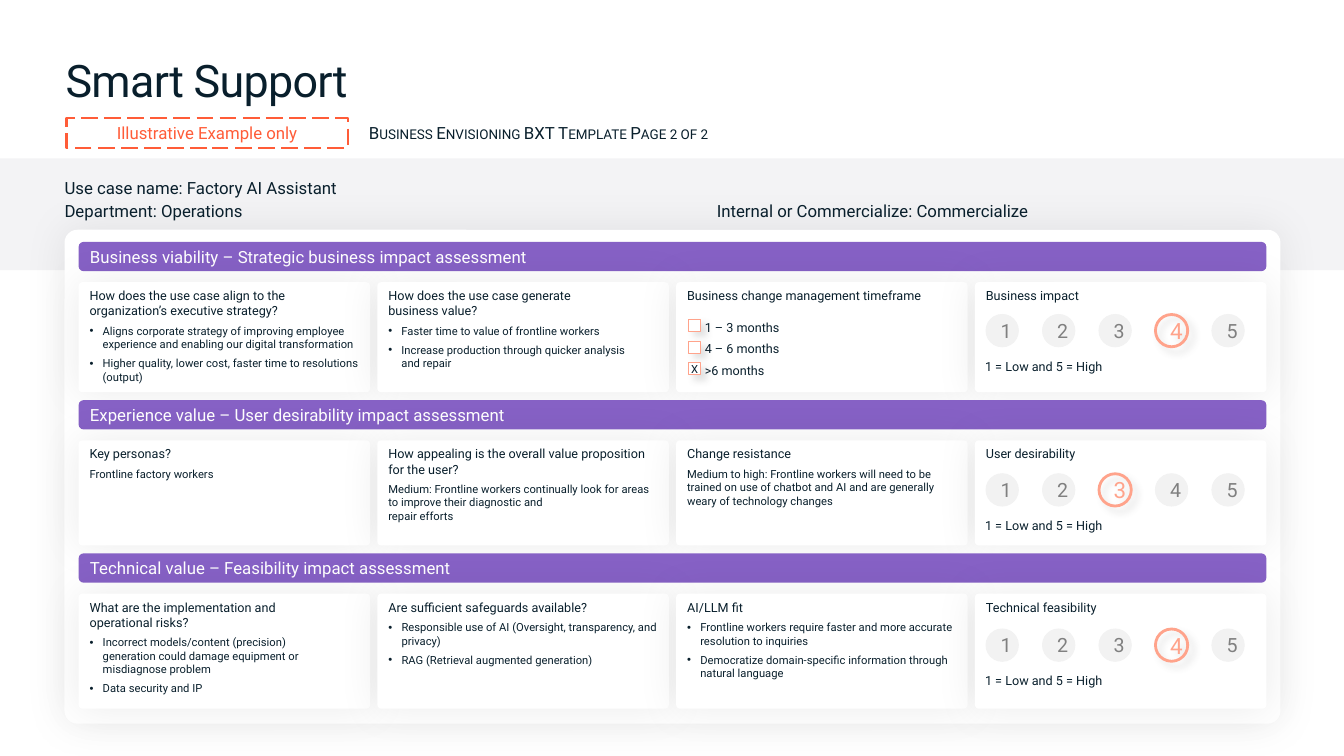
from copy import deepcopy
from dataclasses import dataclass

from lxml.etree import SubElement
from pptx import Presentation
from pptx.dml.color import RGBColor
from pptx.enum.dml import MSO_LINE
from pptx.enum.shapes import MSO_SHAPE
from pptx.enum.text import MSO_ANCHOR, MSO_AUTO_SIZE, PP_ALIGN
from pptx.oxml.ns import qn
from pptx.shapes.autoshape import Shape
from pptx.slide import Slide
from pptx.text.text import _Paragraph as Para
from pptx.util import Inches, Pt

FONT = "Roboto"
HUES = {
    "ink": "091F2C", "white": "FFFFFF", "band": "F3F3F5", "bar": "8661C5",
    "alert": "FF5C38", "pick": "FFA38B", "disc": "F2F2F2", "digit": "808080",
    "haze": "000000", "drop": "737373",
}
LEFT, WIDE, CARD = 0.78, 11.78, 2.89
STEP = (WIDE - CARD) / 3


@dataclass
class Box:
    x: float
    y: float
    w: float
    h: float


@dataclass
class Shade:
    hue: str
    alpha: int
    blur: float
    dist: float
    angle: int


@dataclass
class Card:
    head: str
    items: tuple[str, ...] = ()
    listed: bool = False


@dataclass
class Row:
    title: str
    top: float
    high: float
    dial: float
    score: int
    cards: list[Card]


SOFT = Shade("haze", 7, 30, 0, 0)
HARD = Shade("drop", 20, 5, 5, 45)

ROWS = [
    Row("Business viability – Strategic business impact assessment", 2.4, 1.09, 3.12, 4, [
        Card("How does the use case align to the organization’s executive strategy?", (
            "Aligns corporate strategy of improving employee experience and enabling "
            "our digital transformation",
            "Higher quality, lower cost, faster time to resolutions (output)"), True),
        Card("How does the use case generate\nbusiness value?", (
            "Faster time to value of frontline workers",
            "Increase production through quicker analysis\nand repair"), True),
        Card("Business change management timeframe"),
        Card("Business impact")]),
    Row("Experience value – User desirability impact assessment", 3.97, 1.04, 4.7, 3, [
        Card("Key personas?", ("Frontline factory workers",)),
        Card("How appealing is the overall value proposition for the user?", (
            "Medium: Frontline workers continually look for areas to improve their "
            "diagnostic and\nrepair efforts",)),
        Card("Change resistance", (
            "Medium to high: Frontline workers will need to be trained on use of chatbot "
            "and AI and are generally weary of technology changes",)),
        Card("User desirability")]),
    Row("Technical value – Feasibility impact assessment", 5.49, 1.14, 6.24, 4, [
        Card("What are the implementation and\noperational risks?", (
            "Incorrect models/content (precision)\ngeneration could damage equipment or "
            "misdiagnose problem",
            "Data security and IP"), True),
        Card("Are sufficient safeguards available?", (
            "Responsible use of AI (Oversight, transparency, and privacy)",
            "RAG (Retrieval augmented generation)"), True),
        Card("AI/LLM fit", (
            "Frontline workers require faster and more accurate resolution to inquiries",
            "Democratize domain-specific information through natural language"), True),
        Card("Technical feasibility")]),
]


def paint(name: str) -> RGBColor:
    return RGBColor.from_string(HUES[name])


def style(para: Para, size: float, hue: str = "ink", align=PP_ALIGN.LEFT) -> None:
    para.alignment = align
    for run in para.runs:
        run.font.size, run.font.name = Pt(size), FONT
        run.font.color.rgb = paint(hue)
    for turn in para._p.findall(qn("a:br")):
        turn.insert(0, deepcopy(para.runs[0]._r.rPr))


def cast(shape: Shape, shade: Shade) -> None:
    part = SubElement(shape._element.spPr.find(qn("a:effectLst")), qn("a:outerShdw"),
                      blurRad=str(Pt(shade.blur)), dist=str(Pt(shade.dist)),
                      dir=str(shade.angle * 60000), algn="ctr", rotWithShape="0")
    tint = SubElement(part, qn("a:srgbClr"), val=HUES[shade.hue])
    SubElement(tint, qn("a:alpha"), val=str(shade.alpha * 1000))


def form(slide: Slide, kind: MSO_SHAPE, box: Box, fill: str = "", line: str = "",
         thick: float = 0.75, round_by: float = 0, shade: Shade | None = None) -> Shape:
    shape = slide.shapes.add_shape(
        kind, Inches(box.x), Inches(box.y), Inches(box.w), Inches(box.h))
    shape.shadow.inherit = False
    if fill:
        shape.fill.solid()
        shape.fill.fore_color.rgb = paint(fill)
    else:
        shape.fill.background()
    if line:
        shape.line.color.rgb, shape.line.width = paint(line), Pt(thick)
    else:
        shape.line.fill.background()
    if round_by:
        shape.adjustments[0] = round_by
    if shade:
        cast(shape, shade)
    return shape


def trim(shape: Shape) -> None:
    frame = shape.text_frame
    frame.margin_left = frame.margin_right = frame.margin_top = frame.margin_bottom = 0


def label(slide: Slide, box: Box, text: str, size: float, anchor=MSO_ANCHOR.TOP) -> Para:
    shape = slide.shapes.add_textbox(
        Inches(box.x), Inches(box.y), Inches(box.w), Inches(box.h))
    trim(shape)
    frame = shape.text_frame
    frame.word_wrap, frame.vertical_anchor, frame.text = True, anchor, text
    style(frame.paragraphs[0], size)
    return frame.paragraphs[0]


def draw_card(slide: Slide, box: Box, card: Card) -> None:
    shape = form(slide, MSO_SHAPE.ROUNDED_RECTANGLE, box, "white", round_by=0.032, shade=SOFT)
    frame = shape.text_frame
    frame.vertical_anchor = MSO_ANCHOR.TOP
    for i, text in enumerate((card.head, *card.items)):
        para = frame.add_paragraph() if i else frame.paragraphs[0]
        para.text = text
        para.space_after = Pt(4)
        if i and card.listed:
            props = para._p.get_or_add_pPr()
            props.set("marL", str(Inches(0.13)))
            props.set("indent", str(-Inches(0.13)))
            SubElement(props, qn("a:buFont"), typeface="Arial")
            SubElement(props, qn("a:buChar"), char="•")
        style(para, 8 if i else 9)


def draw_dial(slide: Slide, top: float, score: int) -> None:
    for n in range(1, 6):
        box = Box(9.78 + 0.56 * (n - 1), top, 0.32, 0.32)
        hit = n == score
        if hit:
            disc = form(slide, MSO_SHAPE.OVAL, box, line="pick", thick=2, shade=HARD)
        else:
            disc = form(slide, MSO_SHAPE.OVAL, box, "disc", "disc")
        disc.text_frame.text = str(n)
        style(disc.text_frame.paragraphs[0], 16 if hit else 14,
              "pick" if hit else "digit", PP_ALIGN.CENTER)
    label(slide, Box(9.77, top + 0.44, 2.6, 0.15), "1 = Low and 5 = High", 9)


def draw_checks(slide: Slide) -> None:
    for i, text in enumerate(("1 – 3 months", "4 – 6 months", ">6 months")):
        top = 3.17 + 0.43 * i / 2
        tick = form(slide, MSO_SHAPE.RECTANGLE, Box(6.83, top, 0.12, 0.12),
                    "white", "pick", shade=HARD)
        if i == 2:
            trim(tick)
            tick.text_frame.text = "X"
            style(tick.text_frame.paragraphs[0], 8, align=PP_ALIGN.CENTER)
        label(slide, Box(6.99, top, 0.98, 0.11), text, 9)


def draw_row(slide: Slide, row: Row) -> None:
    bar = form(slide, MSO_SHAPE.ROUNDED_RECTANGLE, Box(LEFT, row.top, WIDE, 0.29), "bar")
    bar.text_frame.text = row.title
    style(bar.text_frame.paragraphs[0], 12, "white")
    for i, card in enumerate(row.cards):
        draw_card(slide, Box(LEFT + STEP * i, row.top + 0.4, CARD, row.high), card)
    draw_dial(slide, row.dial, row.score)


def draw_head(slide: Slide) -> None:
    # Title
    title = slide.shapes.title
    title.left, title.top = Inches(0.65), Inches(0.47)
    title.width, title.height = Inches(12.04), Inches(0.64)
    frame = title.text_frame
    frame.text = "Smart Support"
    frame.margin_left, frame.auto_size = 0, MSO_AUTO_SIZE.NONE
    frame.vertical_anchor = MSO_ANCHOR.TOP
    style(frame.paragraphs[0], 32)
    frame.paragraphs[0].runs[0]._r.rPr.set("spc", "-50")
    # Dashed tag and page line
    tag = form(slide, MSO_SHAPE.RECTANGLE, Box(0.66, 1.17, 2.79, 0.3), line="alert", thick=1.5)
    tag.line.dash_style = MSO_LINE.LONG_DASH
    tag.text_frame.text = "Illustrative Example only"
    tag.text_frame.vertical_anchor = MSO_ANCHOR.TOP
    style(tag.text_frame.paragraphs[0], 12, "alert", PP_ALIGN.CENTER)
    page = label(slide, Box(3.66, 1.22, 4.56, 0.2),
                 "Business Envisioning BXT Template Page 2 of 2", 12)
    page.runs[0]._r.rPr.set("cap", "small")
    # Use case facts
    mid = MSO_ANCHOR.MIDDLE
    label(slide, Box(0.64, 1.76, 9.47, 0.2), "Use case name: Factory AI Assistant", 12, mid)
    label(slide, Box(0.64, 1.99, 5.6, 0.21), "Department: Operations", 12, mid)
    label(slide, Box(7.11, 1.99, 5.6, 0.21), "Internal or Commercialize: Commercialize", 12)


def main() -> None:
    deck = Presentation()
    deck.slide_width, deck.slide_height = Inches(13.33), Inches(7.5)
    slide = deck.slides.add_slide(deck.slide_layouts[5])
    # Backdrop
    form(slide, MSO_SHAPE.RECTANGLE, Box(0, 1.57, 13.33, 1.11), "band")
    form(slide, MSO_SHAPE.ROUNDED_RECTANGLE, Box(0.64, 2.28, 12.06, 4.9),
         "white", round_by=0.026, shade=SOFT)
    draw_head(slide)
    # Assessment rows
    for row in ROWS:
        draw_row(slide, row)
    draw_checks(slide)
    deck.save("out.pptx")


if __name__ == "__main__":
    main()
